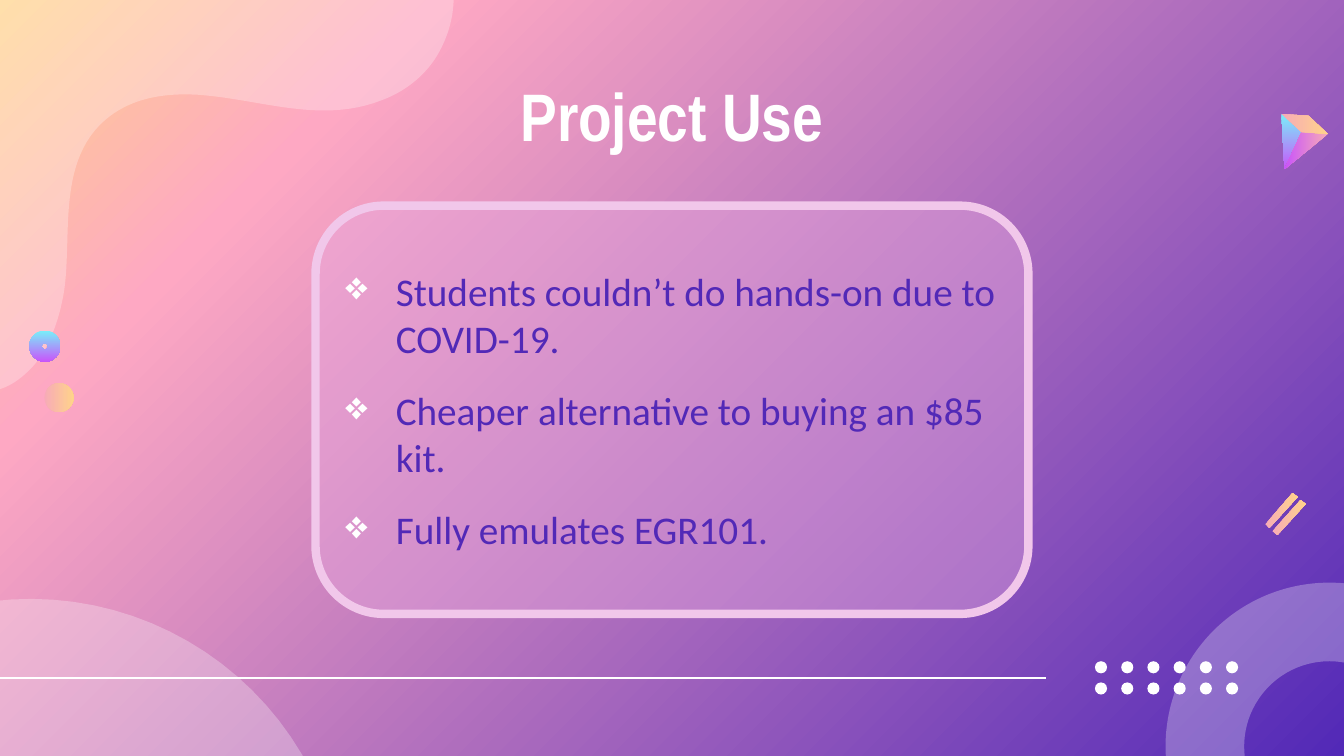
from dataclasses import dataclass
from itertools import product
from typing import Any

from lxml import etree
from pptx import Presentation
from pptx.dml.color import RGBColor
from pptx.enum.shapes import MSO_CONNECTOR, MSO_SHAPE
from pptx.enum.text import MSO_ANCHOR, PP_ALIGN
from pptx.oxml.ns import qn
from pptx.util import Emu, Pt

EMU_PER_PX = 9144  # 100 px to the inch
OVAL, DONUT, ROUNDED = MSO_SHAPE.OVAL, MSO_SHAPE.DONUT, MSO_SHAPE.ROUNDED_RECTANGLE
STRAIGHT = MSO_CONNECTOR.STRAIGHT
MIDDLE = MSO_ANCHOR.MIDDLE
CENTER, LEFT = PP_ALIGN.CENTER, PP_ALIGN.LEFT
WHITE, INDIGO, PEACH, PINK = "FFFFFF", "5229B7", "FFD38B", "F7ABB7"
AQUA, VIOLET, PANEL, PANEL_EDGE = "78F0F9", "C954FA", "E9ABE0", "F1C7EA"
CURVE_STEPS = 24

Point = tuple[float, float]
Box = tuple[int, int, int, int]


@dataclass(frozen=True)
class Gradient:
    stops: tuple[tuple[int, str], ...]
    angle: int


@dataclass(frozen=True)
class Preset:
    kind: Any
    box: Box
    fill: str | Gradient
    opacity: int = 100
    adjustment: float | None = None


@dataclass(frozen=True)
class Outline:
    """Closed outline: cubic curves from the start, then straight corners."""
    start: Point
    corners: tuple[Point, ...]
    fill: str | Gradient
    opacity: int = 100
    curves: tuple[tuple[Point, Point, Point], ...] = ()


SUNSET = Gradient(((0, INDIGO), (79, "FEA8C3"), (100, PEACH)), 225)
WARM = Gradient(((0, PINK), (100, PEACH)), 0)
COOL = Gradient(((0, AQUA), (100, VIOLET)), 90)
BERRY = Gradient(((0, PINK), (100, VIOLET)), 180)

BACKDROP = (
    Preset(DONUT, (1156, 578, 325, 325), WHITE, 28, 0.24),
    Outline((0, 386), ((450, -3), (0, -3)), WHITE, 28, (
        ((13, 382), (24, 373), (34, 362)),
        ((51, 341), (60, 313), (64, 286)),
        ((71, 234), (58, 166), (99, 124)),
        ((125, 98), (160, 92), (196, 94)),
        ((257, 98), (317, 123), (377, 100)),
        ((403, 91), (426, 72), (438, 47)),
        ((446, 31), (450, 14), (450, -3)),
    )),
    Outline((332, 826), ((-59, 607), (24, 919), (334, 836)), WHITE, 28, (
        ((287, 659), (116, 560), (-51, 605)),
    )),
)
DOTS = tuple(
    Preset(OVAL, (1086 + 26 * column, 656 + 21 * row, 12, 12), WHITE)
    for row, column in product(range(2), range(6))
)
ORNAMENTS = (
    Preset(OVAL, (44, 380, 29, 29), WARM),
    Outline((1271, 113), ((1291, 131), (1274, 168)), COOL),
    Outline((1274, 168), ((1291, 131), (1317, 133)), BERRY),
    Outline((1317, 133), ((1291, 131), (1271, 113), (1298, 115)), WARM),
    Outline((1255, 520), ((1282, 489), (1287, 493), (1259, 524)), WARM),
    Outline((1262, 527), ((1290, 496), (1295, 500), (1267, 531)), WARM),
    Preset(DONUT, (29, 328, 31, 31), COOL, 100, 0.4),
)
TITLE_FONT = {"name": "Arial Narrow", "size": Pt(48), "bold": True}
BODY_FONT = {"name": "Calibri", "size": Pt(28)}
USES = (
    "Students couldn’t do hands-on due to COVID-19.",
    "Cheaper alternative to buying an $85 kit.",
    "Fully emulates EGR101.",
)


def px(value: float) -> Emu:
    return Emu(round(value * EMU_PER_PX))


def color(value: str) -> RGBColor:
    return RGBColor.from_string(value)


def apply(target: Any, values: dict[str, Any]) -> None:
    for name, value in values.items():
        setattr(target, name, value)


def fill_gradient(fill: Any, element: Any, gradient: Gradient) -> None:
    fill.gradient()
    node = element.find(".//" + qn("a:gradFill"))
    stops = node.find(qn("a:gsLst"))
    stops.clear()
    for position, value in gradient.stops:
        stop = etree.SubElement(stops, qn("a:gs"), pos=str(position * 1000))
        etree.SubElement(stop, qn("a:srgbClr"), val=value)
    node.find(qn("a:lin")).set("ang", str(gradient.angle * 60000))


def paint(shape: Any, fill: str | Gradient, opacity: int = 100) -> None:
    shape.shadow.inherit = False
    shape.line.fill.background()
    if isinstance(fill, Gradient):
        fill_gradient(shape.fill, shape._element, fill)
        return
    shape.fill.solid()
    shape.fill.fore_color.rgb = color(fill)
    if opacity < 100:
        node = shape._element.spPr.find(qn("a:solidFill"))[0]
        etree.SubElement(node, qn("a:alpha"), val=str(opacity * 1000))


def curve_points(start: Point, curve: tuple[Point, Point, Point]) -> list[Point]:
    points = []
    for step in range(1, CURVE_STEPS + 1):
        t = step / CURVE_STEPS
        weights = ((1 - t) ** 3, 3 * t * (1 - t) ** 2, 3 * t * t * (1 - t), t ** 3)
        points.append(tuple(
            sum(w * p[axis] for w, p in zip(weights, (start, *curve))) for axis in (0, 1)
        ))
    return points


def draw(slide: Any, part: Preset | Outline) -> Any:
    if isinstance(part, Preset):
        shape = slide.shapes.add_shape(part.kind, *map(px, part.box))
        if part.adjustment is not None:
            shape.adjustments[0] = part.adjustment
    else:
        points = [part.start]
        for curve in part.curves:
            points += curve_points(points[-1], curve)
        points += part.corners
        first, *rest = [(px(x), px(y)) for x, y in points]
        builder = slide.shapes.build_freeform(*first)
        builder.add_line_segments(rest, close=True)
        shape = builder.convert_to_shape()
    paint(shape, part.fill, part.opacity)
    return shape


def write(paragraph: Any, text: str, font: dict[str, Any], ink: str) -> None:
    run = paragraph.add_run()
    run.text = text
    apply(run.font, font)
    run.font.color.rgb = color(ink)


def add_bullet(paragraph: Any) -> None:
    properties = paragraph._p.get_or_add_pPr()
    properties.set("marL", str(px(50)))
    properties.set("indent", str(px(-50)))
    bullet_color = etree.SubElement(properties, qn("a:buClr"))
    etree.SubElement(bullet_color, qn("a:srgbClr"), val=WHITE)
    etree.SubElement(properties, qn("a:buChar"), char="❖")


def add_rule(slide: Any) -> None:
    rule = slide.shapes.add_connector(STRAIGHT, px(-1), px(673), px(1037), px(673))
    rule.line.color.rgb = color(WHITE)
    rule.line.width = Pt(1.5)
    etree.SubElement(rule._element.spPr, qn("a:effectLst"))


def add_title(slide: Any) -> None:
    frame = slide.shapes.add_textbox(px(105), px(78), px(1123), px(71)).text_frame
    apply(frame, {"word_wrap": True, "vertical_anchor": MIDDLE})
    apply(frame, dict.fromkeys(
        ("margin_left", "margin_right", "margin_top", "margin_bottom"), px(13)))
    frame.paragraphs[0].alignment = CENTER
    write(frame.paragraphs[0], "Project Use", TITLE_FONT, WHITE)


def add_panel(slide: Any) -> None:
    panel = draw(slide, Preset(ROUNDED, (313, 204, 707, 405), PANEL, 40))
    panel.line.color.rgb = color(PANEL_EDGE)
    panel.line.width = Pt(6)
    frame = panel.text_frame
    apply(frame, {"word_wrap": True, "vertical_anchor": MIDDLE})
    for index, use in enumerate(USES):
        paragraph = frame.add_paragraph() if index else frame.paragraphs[0]
        last = index == len(USES) - 1
        apply(paragraph, {"alignment": LEFT, "space_after": Pt(0 if last else 18)})
        add_bullet(paragraph)
        write(paragraph, use, BODY_FONT, INDIGO)


def main() -> None:
    presentation = Presentation()
    apply(presentation, {"slide_width": px(1333), "slide_height": px(750)})
    slide = presentation.slides.add_slide(presentation.slide_layouts[6])
    fill_gradient(slide.background.fill, slide._element, SUNSET)
    for part in BACKDROP:
        draw(slide, part)
    add_rule(slide)
    for part in DOTS + ORNAMENTS:
        draw(slide, part)
    add_title(slide)
    add_panel(slide)
    presentation.save("out.pptx")


if __name__ == "__main__":
    main()
